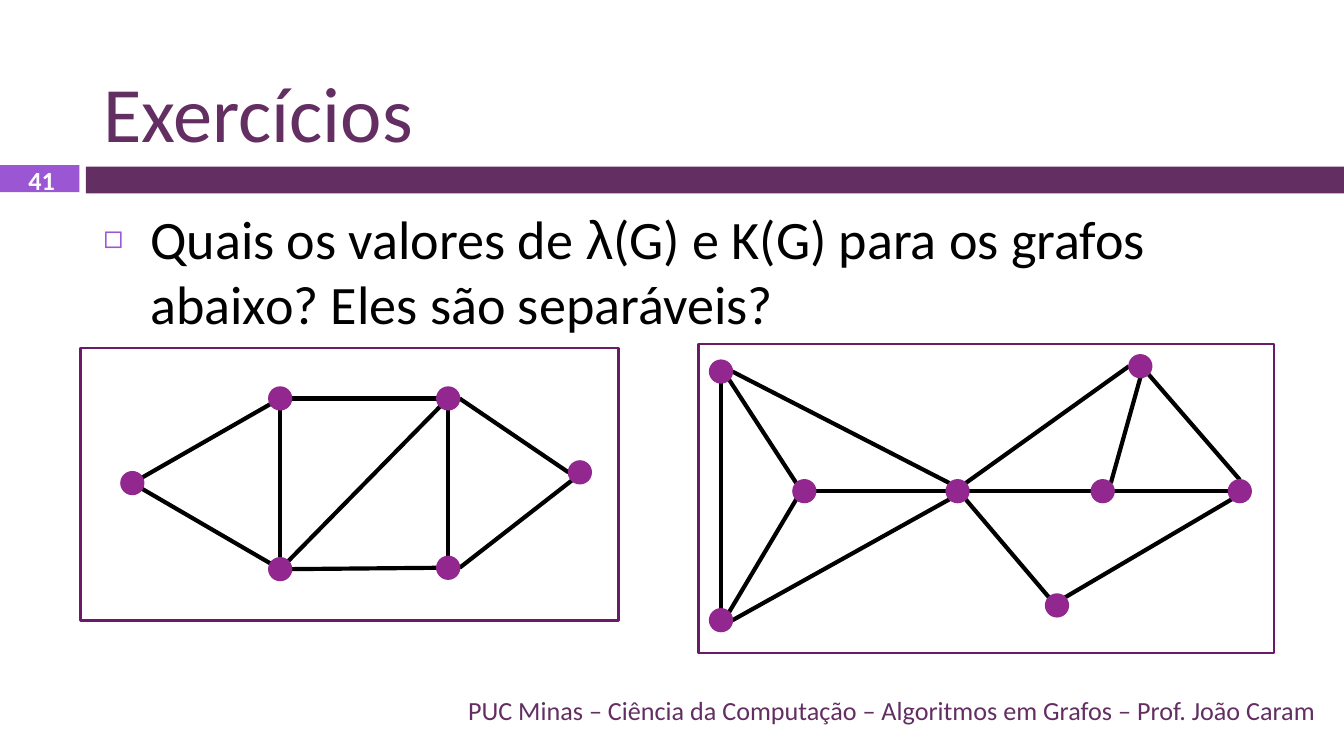
import pptx
import pptx.util
import pptx.dml.color
import pptx.enum.shapes
import pptx.enum.text
import lxml.etree
from pptx.oxml.ns import qn

Inches, Pt = pptx.util.Inches, pptx.util.Pt
RGBColor = pptx.dml.color.RGBColor
Shape = pptx.enum.shapes.MSO_SHAPE
Align, Anchor = pptx.enum.text.PP_ALIGN, pptx.enum.text.MSO_ANCHOR

PLUM = RGBColor(0x63, 0x2E, 0x62)
LILAC = RGBColor(0x9B, 0x57, 0xD3)
NODE_PURPLE = RGBColor(0x92, 0x27, 0x8F)
FRAME_PURPLE = RGBColor(0x6A, 0x1A, 0x68)
BLACK = RGBColor(0, 0, 0)
WHITE = RGBColor(255, 255, 255)

TITLE = "Exercícios"
QUESTION = [("Quais os valores de ", "Calibri"), ("λ", "Arial"),
            ("(G) e K(G) para os grafos abaixo? Eles são separáveis?", "Calibri")]
PAGE_NUMBER = "41"
FOOTER = "PUC Minas – Ciência da Computação – Algoritmos em Grafos – Prof. João Caram"

# Nodes: left and top. Edges: node, site, node, site.
GRAPHS = [
    {
        "frame": (0.6, 2.59, 4, 2.03),
        "nodes": {"a": (0.9, 3.51), "b": (2, 2.88), "c": (2, 4.15),
                  "d": (3.25, 2.88), "e": (3.25, 4.14), "f": (4.23, 3.43)},
        "edges": ["a mid b mid", "b mid c mid", "a mid c mid",
                  "b right d left", "c right e left", "d right f left",
                  "e right f bottom-left", "d bottom e top",
                  "d bottom-left c top-right"],
    },
    {
        "frame": (5.2, 2.56, 4.28, 2.3),
        "nodes": {"a": (5.28, 2.68), "b": (5.28, 4.53), "c": (5.9, 3.57),
                  "d": (7.04, 3.57), "e": (8.12, 3.57), "f": (8.4, 2.64),
                  "g": (7.78, 4.42), "h": (9.14, 3.57)},
        "edges": ["a bottom b top", "c bottom-left b top-right",
                  "a bottom-right c top-left", "d bottom-left b right",
                  "d top-left a right", "d left c right", "e left d right",
                  "h left e right", "f left d top-right",
                  "h top f bottom-right", "e top-right f bottom",
                  "g top-left d bottom-right", "g top-right h bottom-left"],
    },
]
NODE_SIZE = 0.17
DIAGONAL = 0.06
DIRECTIONS = {"left": (-1, 0), "right": (1, 0), "top": (0, -1), "bottom": (0, 1)}


def add_shape(page, kind, place, fill=None, line=None, width=0.75):
    shape = page.shapes.add_shape(kind, *map(Inches, place))
    shape.shadow.inherit = False
    if fill is None:
        shape.fill.background()
    else:
        shape.fill.solid()
        shape.fill.fore_color.rgb = fill
    if line is None:
        shape.line.fill.background()
    else:
        shape.line.color.rgb = line
        shape.line.width = Pt(width)


def add_text(page, place, pieces, size, color, anchor, align=Align.LEFT, bold=False):
    box = page.shapes.add_textbox(*map(Inches, place))
    frame = box.text_frame
    frame.word_wrap = True
    frame.vertical_anchor = anchor
    para = frame.paragraphs[0]
    para.alignment = align
    for text, font in pieces:
        span = para.add_run()
        span.text = text
        span.font.name = font
        span.font.size = Pt(size)
        span.font.bold = bold
        span.font.color.rgb = color
    return para


def add_bullet(para, char, color, percent, indent):
    properties = para._p.get_or_add_pPr()
    properties.set("marL", str(Inches(indent)))
    properties.set("indent", str(-Inches(indent)))
    bullet_color = lxml.etree.SubElement(properties, qn("a:buClr"))
    lxml.etree.SubElement(bullet_color, qn("a:srgbClr"), val=str(color))
    lxml.etree.SubElement(properties, qn("a:buSzPct"), val=str(percent * 1000))
    lxml.etree.SubElement(properties, qn("a:buFont"), typeface="Arial")
    lxml.etree.SubElement(properties, qn("a:buChar"), char=char)


def site_point(corner, site):
    """Point on a node's rim, or its centre for "mid"."""
    x, y = (value + NODE_SIZE / 2 for value in corner)
    if site == "mid":
        return x, y
    sides = site.split("-")
    reach = DIAGONAL if len(sides) == 2 else NODE_SIZE / 2
    for side in sides:
        dx, dy = DIRECTIONS[side]
        x, y = x + dx * reach, y + dy * reach
    return x, y


def add_edge(page, start, end):
    edge = page.shapes.add_connector(pptx.enum.shapes.MSO_CONNECTOR.STRAIGHT,
                                     *map(Inches, start + end))
    edge.line.color.rgb = BLACK
    edge.line.width = Pt(2.25)
    lxml.etree.SubElement(edge._element.spPr, qn("a:effectLst"))


def add_graph(page, graph):
    nodes = graph["nodes"]
    for edge in graph["edges"]:
        first, first_site, second, second_site = edge.split()
        add_edge(page, site_point(nodes[first], first_site),
                 site_point(nodes[second], second_site))
    for corner in nodes.values():
        add_shape(page, Shape.OVAL, corner + (NODE_SIZE, NODE_SIZE),
                  NODE_PURPLE, NODE_PURPLE)
    add_shape(page, Shape.RECTANGLE, graph["frame"], line=FRAME_PURPLE, width=1.5)


def main():
    deck = pptx.Presentation()
    deck.slide_width = Inches(10)
    deck.slide_height = deck.slide_width * 9 // 16
    page = deck.slides.add_slide(deck.slide_layouts[6])

    add_shape(page, Shape.RECTANGLE, (0.64, 1.24, 9.36, 0.2), PLUM)
    add_shape(page, Shape.RECTANGLE, (0, 1.23, 0.59, 0.2), LILAC)
    add_text(page, (0.67, 0.13, 9.22, 1.1), [(TITLE, "Calibri")], 42, PLUM, Anchor.BOTTOM)
    question = add_text(page, (0.67, 1.48, 9.22, 3.58), QUESTION, 29, BLACK, Anchor.TOP)
    question.space_before = Pt(7)
    add_bullet(question, "◻", LILAC, 60, 0.35)
    add_text(page, (0.02, 1.24, 0.58, 0.2), [(PAGE_NUMBER, "Calibri")], 14, WHITE,
             Anchor.MIDDLE, Align.CENTER, bold=True)
    add_text(page, (0.67, 5.13, 9.22, 0.3), [(FOOTER, "Calibri")], 14, PLUM,
             Anchor.MIDDLE, Align.RIGHT)
    for graph in GRAPHS:
        add_graph(page, graph)
    deck.save("out.pptx")


if __name__ == "__main__":
    main()
